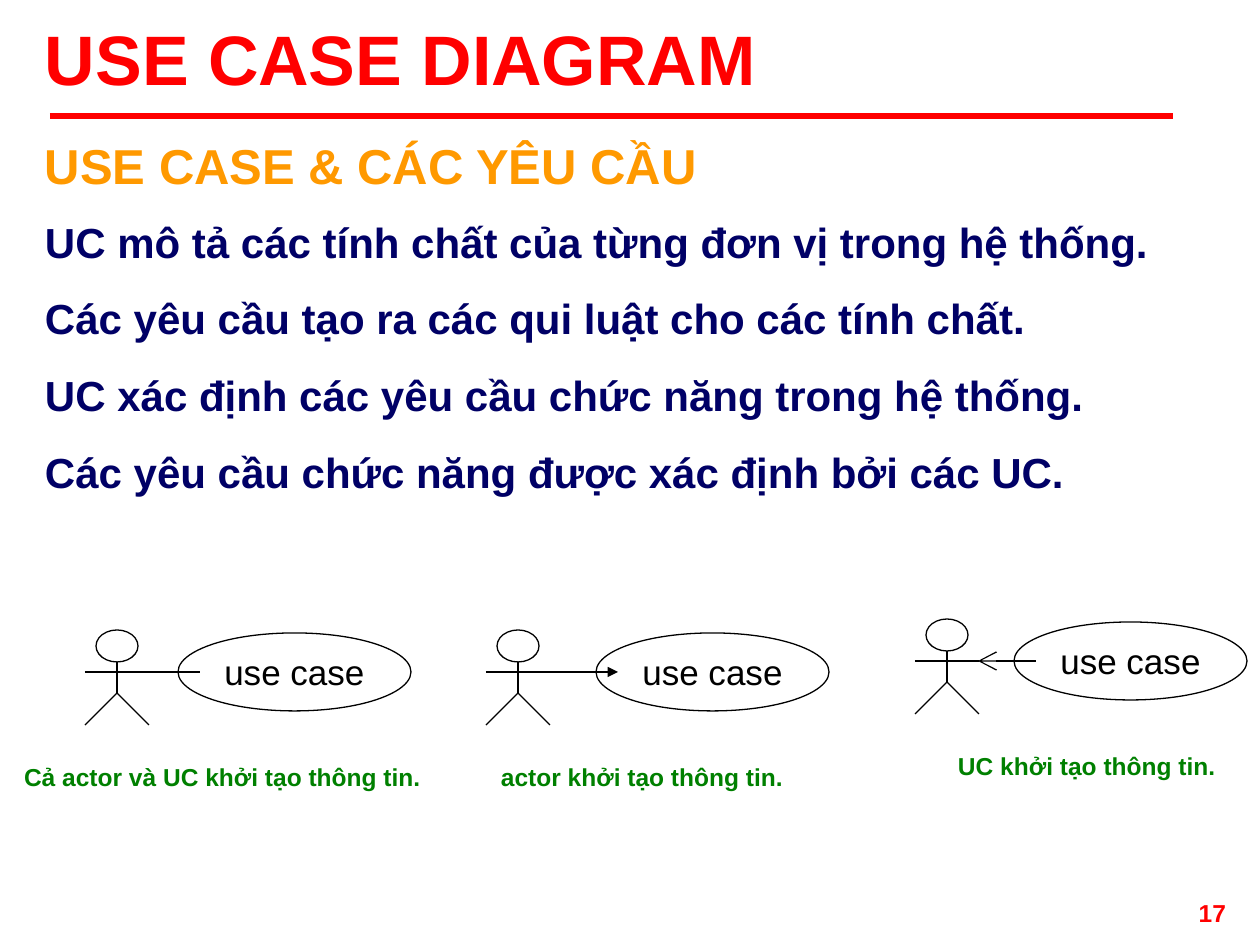
from dataclasses import dataclass

import lxml.etree
import pptx
import pptx.dml.color
import pptx.enum.shapes
import pptx.enum.text
import pptx.oxml.ns
import pptx.util

SCALE = 914400 / 126
ALIGN = pptx.enum.text.PP_ALIGN
ANCHOR = pptx.enum.text.MSO_ANCHOR


@dataclass(frozen=True)
class Theme:
    """Colours, font and type sizes."""
    font: str = "Arial"
    red: str = "FF0000"
    gold: str = "FF9900"
    navy: str = "000066"
    green: str = "008000"
    ink: str = "000000"
    paper: str = "FFFFFF"
    title: float = 40
    topic: float = 28
    body: float = 24
    label: float = 20
    small: float = 14
    thick: float = 3
    thin: float = 0.74


@dataclass(frozen=True)
class Case:
    """An actor linked to a use case, with a caption."""
    actor: int
    top: int
    oval: int
    reach: int
    note: str
    left: int
    width: int
    end: str = ""
    kind: str = ""
    size: str = "med"


THEME = Theme()
CASES = [
    Case(117, 630, 178, 147, "Cả actor và UC khởi tạo thông tin.", 11, 422),
    Case(518, 630, 596, 549, "actor khởi tạo thông tin.", 488, 307,
         "a:headEnd", "triangle"),
    Case(947, 619, 1014, 978, "UC khởi tạo thông tin.", 945, 282,
         "a:tailEnd", "arrow", "lg"),
]
POINTS = [
    "UC mô tả các tính chất của từng đơn vị trong hệ thống.",
    "Các yêu cầu tạo ra các qui luật cho các tính chất.",
    "UC xác định các yêu cầu chức năng trong hệ thống.",
    "Các yêu cầu chức năng được xác định bởi các UC.",
]


def px(size: float) -> int:
    """Turn pixels into EMU."""
    return round(size * SCALE)


def tint(code: str) -> pptx.dml.color.RGBColor:
    """Turn a hex code into a colour."""
    return pptx.dml.color.RGBColor.from_string(code)


def write(shape, *lines: str, size: float, color: str, bold: bool = True,
          align=ALIGN.LEFT, anchor=ANCHOR.TOP, before: float = 0,
          left: int = 13, right: int = 13) -> None:
    """Fill a shape with one paragraph per line."""
    frame = shape.text_frame
    frame.word_wrap = True
    frame.vertical_anchor = anchor
    frame.margin_left, frame.margin_right = px(left), px(right)
    for i, line in enumerate(lines):
        para = frame.paragraphs[0] if i == 0 else frame.add_paragraph()
        para.alignment = align
        para.space_before = pptx.util.Pt(before)
        run = para.add_run()
        run.text = line
        run.font.name = THEME.font
        run.font.size = pptx.util.Pt(size)
        run.font.bold = bold
        run.font.color.rgb = tint(color)


def box(slide, left: int, top: int, width: int, height: int):
    """Add an empty text box."""
    return slide.shapes.add_textbox(px(left), px(top), px(width), px(height))


def rule(slide, x1: int, y1: int, x2: int, y2: int, color: str = THEME.ink,
         weight: float = THEME.thin, end: str = "", kind: str = "",
         size: str = "med") -> None:
    """Draw a straight line, with an arrowhead if an end is named."""
    line = slide.shapes.add_connector(
        pptx.enum.shapes.MSO_CONNECTOR.STRAIGHT,
        px(x1), px(y1), px(x2), px(y2))
    line.line.color.rgb = tint(color)
    line.line.width = pptx.util.Pt(weight)
    qn = pptx.oxml.ns.qn
    props = line.element.spPr
    if end:
        lxml.etree.SubElement(props.find(qn("a:ln")), qn(end),
                              type=kind, w=size, len=size)
    lxml.etree.SubElement(props, qn("a:effectLst"))


def oval(slide, left: int, top: int, width: int, height: int):
    """Draw a white ellipse with a thin outline."""
    shape = slide.shapes.add_shape(
        pptx.enum.shapes.MSO_SHAPE.OVAL,
        px(left), px(top), px(width), px(height))
    shape.shadow.inherit = False
    shape.fill.solid()
    shape.fill.fore_color.rgb = tint(THEME.paper)
    shape.line.color.rgb = tint(THEME.ink)
    shape.line.width = pptx.util.Pt(THEME.thin)
    return shape


def actor(slide, mid: int, top: int) -> None:
    """Draw a stick figure centred on mid."""
    oval(slide, mid - 21, top, 42, 32)
    rule(slide, mid, top + 32, mid, top + 63)
    rule(slide, mid - 32, top + 42, mid + 32, top + 42)
    for side in (32, -32):
        rule(slide, mid, top + 63, mid + side, top + 95)


def draw(slide, case: Case) -> None:
    """Draw one actor, its use case, the link and the caption."""
    actor(slide, case.actor, case.top)
    write(oval(slide, case.oval, case.top + 3, 233, 78), "use case",
          size=THEME.label, color=THEME.ink, bold=False,
          align=ALIGN.CENTER, anchor=ANCHOR.MIDDLE, left=0, right=0)
    mid = case.top + 42
    rule(slide, case.oval + 22, mid, case.reach, mid,
         end=case.end, kind=case.kind, size=case.size)
    write(box(slide, case.left, case.top + 126, case.width, 43), case.note,
          size=THEME.small, color=THEME.green, right=0)


def main() -> None:
    """Build and save the slide."""
    deck = pptx.Presentation()
    deck.slide_width, deck.slide_height = px(1260), px(945)
    slide = deck.slides.add_slide(deck.slide_layouts[6])
    write(box(slide, 945, 892, 294, 42), "17", size=THEME.small,
          color=THEME.red, align=ALIGN.RIGHT)
    rule(slide, 50, 116, 1173, 116, THEME.red, THEME.thick)
    write(box(slide, 32, 9, 1144, 97), "USE CASE DIAGRAM",
          size=THEME.title, color=THEME.red, before=25)
    write(box(slide, 32, 210, 1176, 294), *POINTS, size=THEME.body,
          color=THEME.navy, align=ALIGN.JUSTIFY, before=15)
    write(box(slide, 32, 129, 703, 72), "USE CASE & CÁC YÊU CẦU",
          size=THEME.topic, color=THEME.gold, before=17.5)
    for case in CASES:
        draw(slide, case)
    deck.save("out.pptx")


main()
